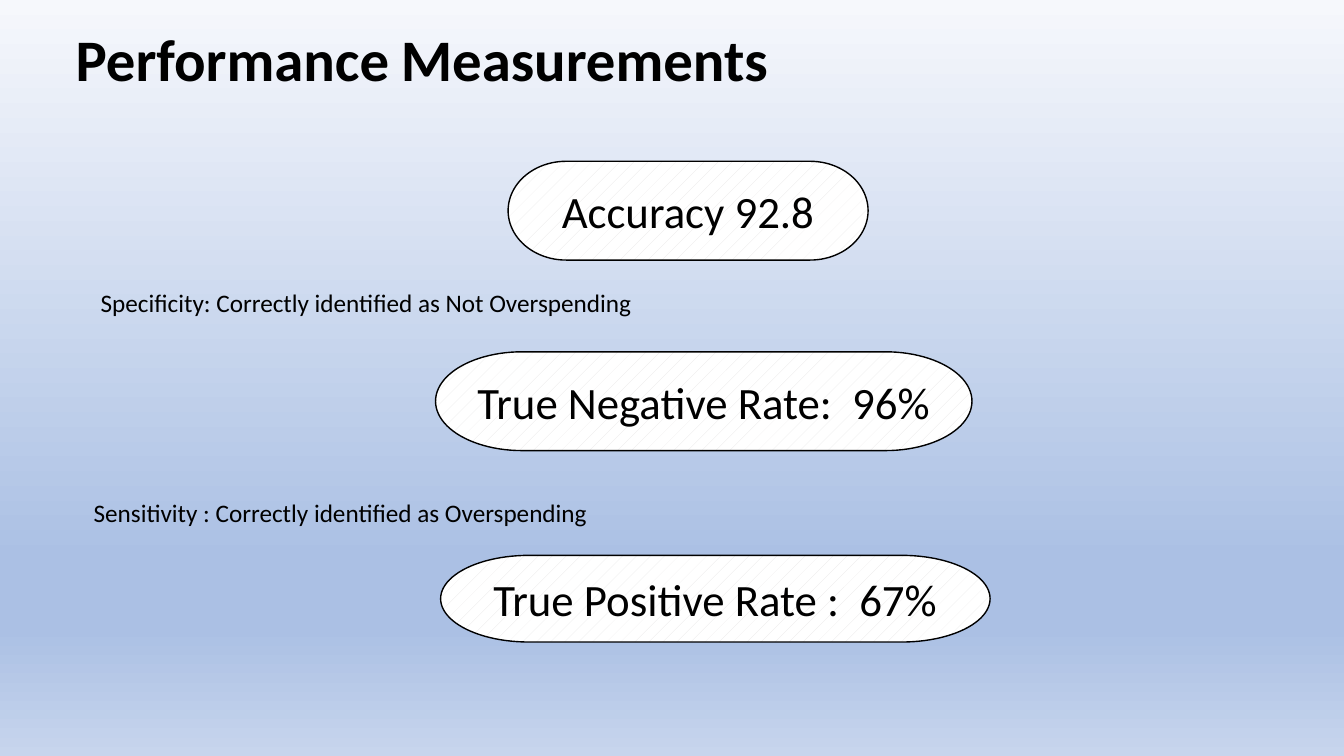
import pptx
import pptx.dml.color
import pptx.enum.dml
import pptx.enum.shapes
import pptx.enum.text
import pptx.oxml
import pptx.oxml.ns
import pptx.util
from dataclasses import dataclass
from lxml import etree

TITLE = (("Performance", 42), (" ", 36), ("Measurements", 42))
TITLE_BOX = (0.65, 0.18, 7.52, 1.11)
MEASURES = [
    ("Accuracy 92.8", (5.04, 1.6, 3.57, 0.98)),
    ("True Negative Rate:  96%", (4.32, 3.49, 5.32, 0.98)),
    ("True Positive Rate :  67%", (4.37, 5.51, 5.45, 0.86)),
]
DEFINITIONS = [
    ("Specificity: Correctly identified as Not Overspending", (0.9, 2.8, 5.5, 0.4)),
    ("Sensitivity : Correctly identified as Overspending", (0.83, 4.88, 5.58, 0.4)),
]


@dataclass(frozen=True)
class Theme:
    font: str = "Calibri"
    ink: str = "000000"
    hatch: str = "E7E6E6"
    paper: str = "FFFFFF"
    measure_size: int = 32
    definition_size: int = 18
    outline: int = 1
    sky: tuple = ((0, "F6F8FC"), (74, "ABC0E4"), (83, "ABC0E4"), (100, "C7D5ED"))


THEME = Theme()


def rgb(value):
    return pptx.dml.color.RGBColor.from_string(value)


def inches(box):
    return [pptx.util.Inches(length) for length in box]


def style_run(run, size, bold=False):
    run.font.name = THEME.font
    run.font.size = pptx.util.Pt(size)
    run.font.bold = bold
    run.font.color.rgb = rgb(THEME.ink)


def paint_background(slide):
    fill = slide.background.fill
    fill.gradient()
    fill.gradient_angle = 270
    qn = pptx.oxml.ns.qn
    stops = next(slide.element.iter(qn("a:gsLst")))
    for stop in list(stops):
        stops.remove(stop)
    for percent, color in THEME.sky:
        stop = etree.SubElement(stops, qn("a:gs"), pos=str(percent * 1000))
        etree.SubElement(stop, qn("a:srgbClr"), val=color)


def add_title(slide):
    title = slide.shapes.title
    title.left, title.top, title.width, title.height = inches(TITLE_BOX)
    frame = title.text_frame
    frame.word_wrap = True
    frame.auto_size = pptx.enum.text.MSO_AUTO_SIZE.NONE
    frame.vertical_anchor = pptx.enum.text.MSO_ANCHOR.TOP
    heading = frame.paragraphs[0]
    heading.alignment = pptx.enum.text.PP_ALIGN.LEFT
    heading.line_spacing = 1.0
    heading.space_before = pptx.util.Pt(0)
    for words, size in TITLE:
        run = heading.add_run()
        run.text = words
        style_run(run, size, bold=True)


def add_measure(slide, wording, box):
    terminator = pptx.enum.shapes.MSO_SHAPE.FLOWCHART_TERMINATOR
    measure = slide.shapes.add_shape(terminator, *inches(box))
    measure.shadow.inherit = False
    measure.fill.patterned()
    measure.fill.pattern = pptx.enum.dml.MSO_PATTERN.PERCENT_5
    measure.fill.fore_color.rgb = rgb(THEME.hatch)
    measure.fill.back_color.rgb = rgb(THEME.paper)
    measure.line.color.rgb = rgb(THEME.ink)
    measure.line.width = pptx.util.Pt(THEME.outline)
    frame = measure.text_frame
    frame.text = wording
    frame.vertical_anchor = pptx.enum.text.MSO_ANCHOR.MIDDLE
    frame.paragraphs[0].alignment = pptx.enum.text.PP_ALIGN.CENTER
    style_run(frame.paragraphs[0].runs[0], THEME.measure_size)


def add_definition(slide, wording, box):
    frame = slide.shapes.add_textbox(*inches(box)).text_frame
    frame.word_wrap = True
    frame.text = wording
    style_run(frame.paragraphs[0].runs[0], THEME.definition_size)


def main():
    deck = pptx.Presentation()
    deck.slide_width, deck.slide_height = inches((13.33, 7.5))
    slide = deck.slides.add_slide(deck.slide_layouts[5])
    paint_background(slide)
    add_title(slide)
    for wording, box in MEASURES:
        add_measure(slide, wording, box)
    for wording, box in DEFINITIONS:
        add_definition(slide, wording, box)
    deck.save("out.pptx")


if __name__ == "__main__":
    main()
